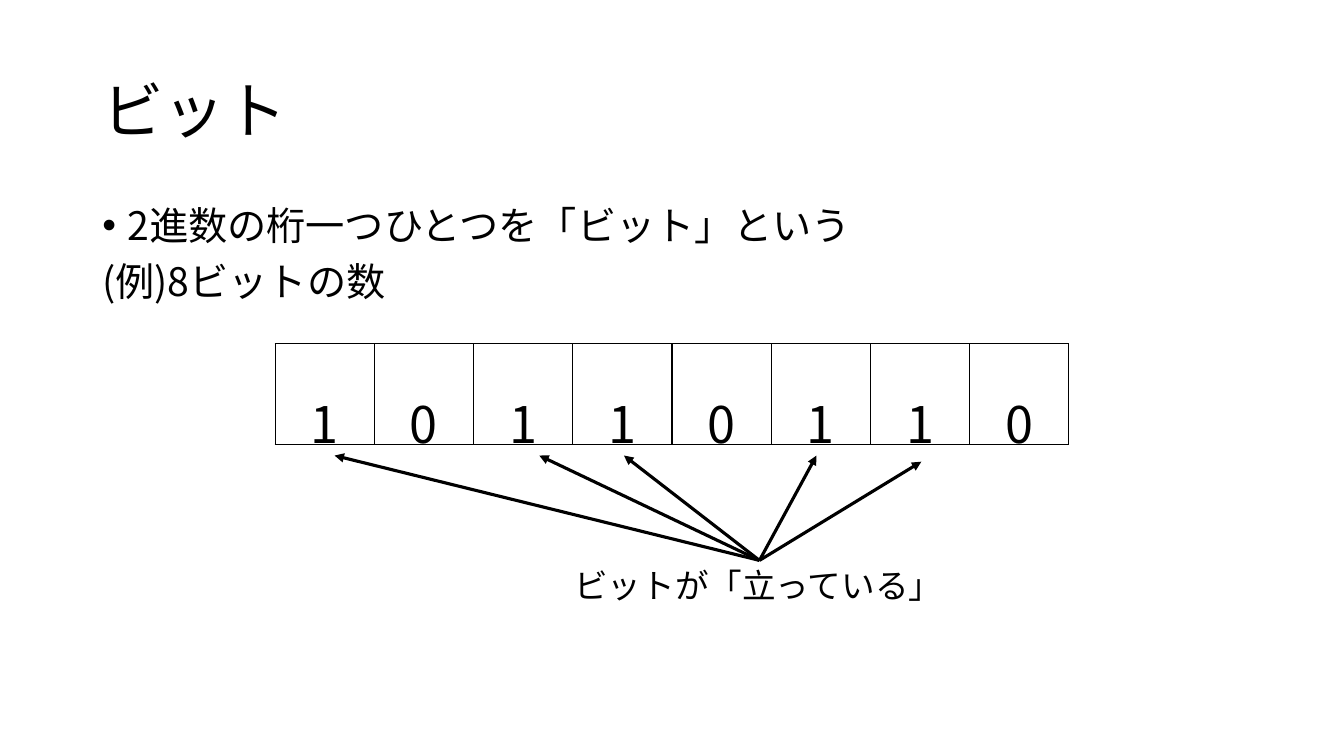
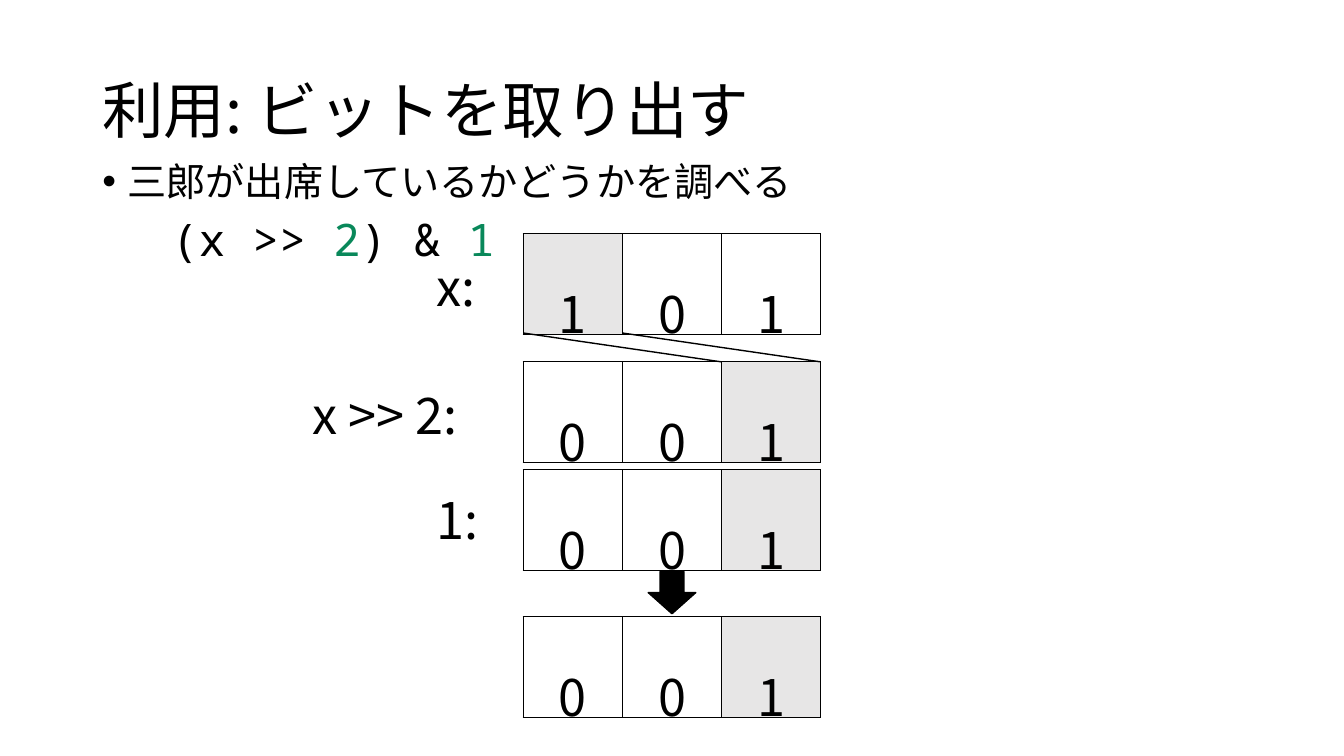
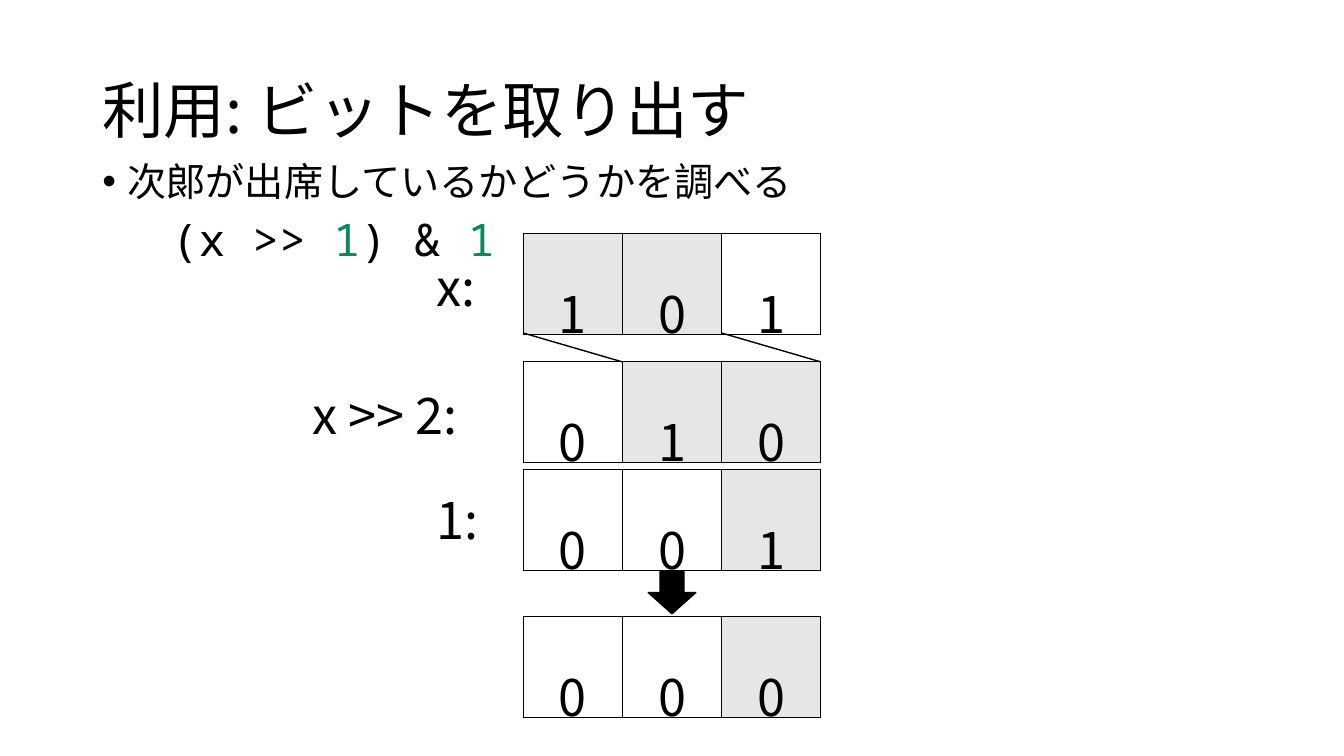
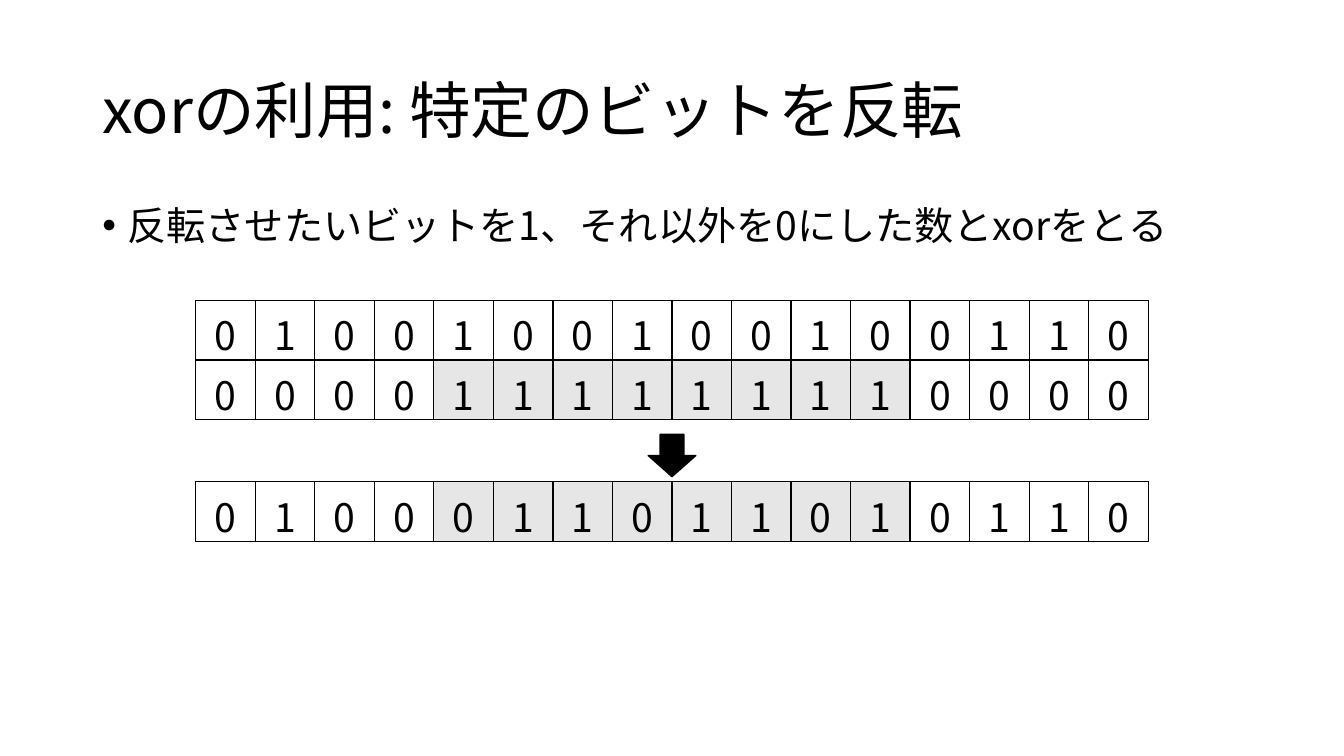
from lxml import etree
from pptx import Presentation
from pptx.dml.color import RGBColor
from pptx.enum import shapes, text
from pptx.oxml.ns import qn
from pptx.util import Pt

SANS = "Noto Sans CJK JP"
MONO = "Noto Sans Mono"
BLACK, GRAY, GREEN = "000000", "E7E6E6", "09885A"
color = RGBColor.from_string
CENTER = 480
BIT = 70.87
SMALL_BIT = 42.52


def set_font(paragraph, size, name=SANS):
    """Set size, colour and both the Latin and the East Asian typeface."""
    font = paragraph.font
    font.size, font.name = Pt(size), name
    font.color.rgb = color(BLACK)
    properties = paragraph._p.pPr.find(qn("a:defRPr"))
    etree.SubElement(properties, qn("a:ea"), typeface=SANS)


def add_text(slide, left, top, width, height, size, lines, wrap=True):
    """Add a text box with one paragraph a line and return its frame's shape."""
    box = slide.shapes.add_textbox(Pt(left), Pt(top), Pt(width), Pt(height))
    frame = box.text_frame
    frame.word_wrap = wrap
    for number, line in enumerate(lines):
        paragraph = frame.add_paragraph() if number else frame.paragraphs[0]
        paragraph.text = line
        set_font(paragraph, size)
    return box


presentation = Presentation()
presentation.slide_width, presentation.slide_height = Pt(960), Pt(540)

# Title and body of each slide: title, body top, body lines, code runs
pages = [
    ("ビット", 144, ["2進数の桁一つひとつを「ビット」という", "(例)8ビットの数"], []),
    ("利用: ビットを取り出す", 112.3, ["三郎が出席しているかどうかを調べる"],
     ["(x >> ", "2", ") & ", "1"]),
    ("利用: ビットを取り出す", 112.3, ["次郎が出席しているかどうかを調べる"],
     ["(x >> ", "1", ") & ", "1"]),
    ("xorの利用: 特定のビットを反転", 144,
     ["反転させたいビットを1、それ以外を0にした数とxorをとる"], []),
]
slides = []
for title, body_top, lines, code in pages:
    slide = presentation.slides.add_slide(presentation.slide_layouts[6])
    slides.append(slide)
    heading = add_text(slide, 66, 28.8, 828, 104.4, 44, [title]).text_frame
    heading.vertical_anchor = text.MSO_ANCHOR.MIDDLE
    heading.paragraphs[0].line_spacing = 0.9

    body = add_text(slide, 66, body_top, 828, 486.7 - body_top, 28, lines).text_frame
    for number, paragraph in enumerate(body.paragraphs):
        paragraph.line_spacing = 0.9
        if number:
            paragraph.space_before = Pt(10)
    properties = body.paragraphs[0]._p.pPr
    properties.set("marL", str(Pt(18)))
    properties.set("indent", str(Pt(-18)))
    bullet = etree.Element(qn("a:buChar"), char="•")
    properties.find(qn("a:defRPr")).addprevious(bullet)
    bullet.addprevious(etree.Element(qn("a:buFont"), typeface="Arial"))

    if code:
        paragraph = body.add_paragraph()
        paragraph.space_before = Pt(5)
        paragraph._p.get_or_add_pPr().set("marL", str(Pt(49.7)))
        set_font(paragraph, 32, MONO)
        for part in code:
            run = paragraph.add_run()
            run.text = part
            if part.isdigit():
                run.font.color.rgb = color(GREEN)

bits_slide, third_slide, second_slide, xor_slide = slides
caption = add_text(bits_slide, 403.2, 400.3, 278.6, 36.4, 24, ["ビットが「立っている」"], False)
for slide in (third_slide, second_slide):
    for label, left, top, width in [("x:", 304.6, 179.3, 55.4), ("x >> 2:", 216, 270.7, 144.7),
                                    ("1:", 304.6, 345.6, 55.4)]:
        add_text(slide, left, top, width, 51, 36, [label], False)

# Bit tables: slide, top, cell side, text size, line spacing, (bits, shading) rows
X_TOP, SHIFTED_TOP, ONE_TOP, RESULT_TOP = 167, 258.5, 335.5, 440.6
PLAIN, MASK = "0" * 16, "0000111111110000"
large = (BIT, 36, 1.5)
small = (SMALL_BIT, 28, 1.0)
tables = [
    (bits_slide, 245.5, large, [("10110110", PLAIN)]),
    (third_slide, X_TOP, large, [("101", "100")]),
    (third_slide, SHIFTED_TOP, large, [("001", "001")]),
    (third_slide, ONE_TOP, large, [("001", "001")]),
    (third_slide, RESULT_TOP, large, [("001", "001")]),
    (second_slide, X_TOP, large, [("101", "110")]),
    (second_slide, SHIFTED_TOP, large, [("010", "011")]),
    (second_slide, ONE_TOP, large, [("001", "001")]),
    (second_slide, RESULT_TOP, large, [("000", "001")]),
    (xor_slide, 214.6, small, [("0100100100100110", PLAIN), (MASK, MASK)]),
    (xor_slide, 344.2, small, [("0100011011010110", MASK)]),
]
for slide, top, (side, size, spacing), rows in tables:
    count = len(rows[0][0])
    table = slide.shapes.add_table(
        len(rows), count, Pt(CENTER - count * side / 2), Pt(top),
        Pt(count * side), Pt(len(rows) * side)).table
    table.first_row = table.horz_banding = False
    for row, (bits, shading) in enumerate(rows):
        for column, (bit, shaded) in enumerate(zip(bits, shading)):
            cell = table.cell(row, column)
            cell.text = bit
            paragraph = cell.text_frame.paragraphs[0]
            paragraph.alignment = text.PP_ALIGN.CENTER
            paragraph.line_spacing = spacing
            set_font(paragraph, size)
            properties = cell._tc.get_or_add_tcPr()
            for edge in ("a:lnL", "a:lnR", "a:lnT", "a:lnB"):
                border = etree.SubElement(properties, qn(edge), w=str(Pt(1)))
                fill = etree.SubElement(border, qn("a:solidFill"))
                etree.SubElement(fill, qn("a:srgbClr"), val=BLACK)
            if shaded == "1":
                cell.fill.solid()
                cell.fill.fore_color.rgb = color(GRAY)
            else:
                cell.fill.background()

# Connectors: slide, start, end, whether it points from the caption to a bit
connectors = [(bits_slide, (542.5, 400.3), end, True)
              for end in [(239, 325.4), (385.2, 325.4), (445.7, 325.4), (583.2, 325.4), (658.1, 329.8)]]
for slide, shifts in [(third_slide, [(0, 2), (1, 3)]), (second_slide, [(0, 1), (2, 3)])]:
    for start, end in shifts:
        left = CENTER - 1.5 * BIT
        connectors.append((slide, (left + start * BIT, X_TOP + BIT),
                           (left + end * BIT, SHIFTED_TOP), False))
for slide, start, end, pointing in connectors:
    connector = slide.shapes.add_connector(
        shapes.MSO_CONNECTOR.STRAIGHT, *(Pt(value) for value in start + end))
    connector.line.color.rgb = color(BLACK)
    connector.line.width = Pt(2.25 if pointing else 1)
    if pointing:
        connector.begin_connect(caption, 0)
        etree.SubElement(connector.line._get_or_add_ln(), qn("a:tailEnd"), type="triangle")
    etree.SubElement(connector._element.spPr, qn("a:effectLst"))

for slide, top in [(third_slide, 408.2), (second_slide, 408.2), (xor_slide, 310.3)]:
    arrow = slide.shapes.add_shape(
        shapes.MSO_SHAPE.DOWN_ARROW, Pt(CENTER - 17), Pt(top), Pt(34), Pt(30.2))
    arrow.shadow.inherit = False
    arrow.fill.solid()
    arrow.fill.fore_color.rgb = color(BLACK)
    arrow.line.color.rgb = color(BLACK)
    arrow.line.width = Pt(1)

presentation.save("out.pptx")
